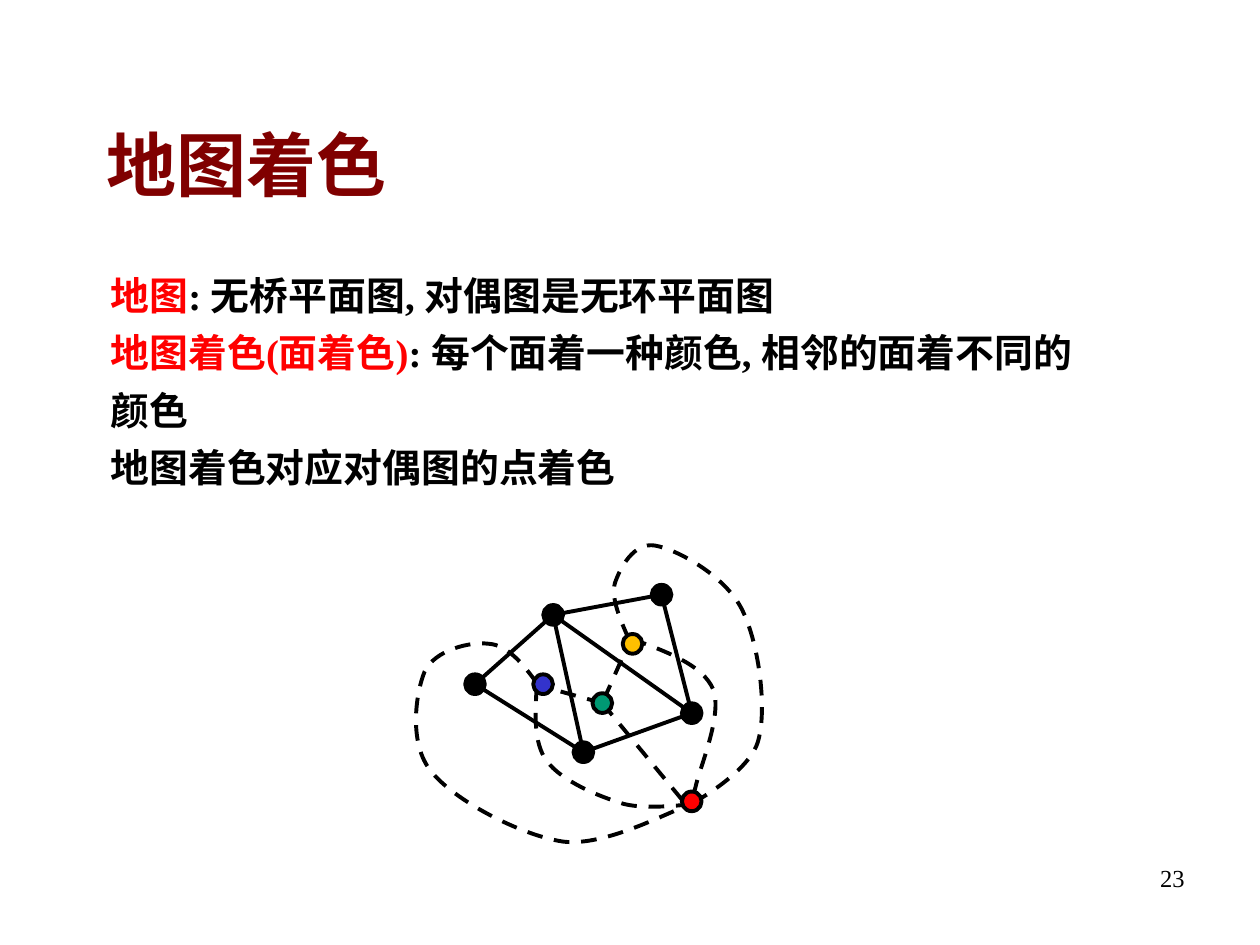
from dataclasses import dataclass

from lxml import etree
from pptx import Presentation
from pptx import util as u
from pptx.dml.color import RGBColor
from pptx.enum import dml, shapes, text
from pptx.oxml.ns import qn

COLORS = {
    "black": "000000", "maroon": "800000", "red": "FF0000",
    "yellow": "FFC000", "green": "009973", "blue": "3333CC",
}
FONT = "Times New Roman"
DIAMETER = 5 / 32
Point = tuple[float, float]


@dataclass(frozen=True)
class Vertex:
    x: float
    y: float
    color: str = "black"


@dataclass(frozen=True)
class TextArea:
    left: float
    top: float
    width: float
    height: float
    size: float
    bold: bool = True
    align: text.PP_ALIGN = text.PP_ALIGN.LEFT
    anchor: text.MSO_ANCHOR = text.MSO_ANCHOR.TOP
    space_before: float = 0
    hanging: float = 0


TITLE = TextArea(0.75, 0.67, 8.5, 1.25, 40, anchor=text.MSO_ANCHOR.MIDDLE)
BODY = TextArea(0.78, 2.11, 8.5, 2.03, 22.2, space_before=6, hanging=0.38)
NUMBER = TextArea(7.42, 6.8, 2.08, 0.5, 14, bold=False, align=text.PP_ALIGN.RIGHT)

DEFINITIONS = [
    [("地图", "red"), (": 无桥平面图, 对偶图是无环平面图", "black")],
    [("地图着色(面着色)", "red"), (": 每个面着一种颜色, 相邻的面着不同的", "black")],
    [("颜色", "black")],
    [("地图着色对应对偶图的点着色", "black")],
]

MAP_VERTICES = {
    "top": Vertex(4.39, 4.88),
    "upper_right": Vertex(5.25, 4.72),
    "left": Vertex(3.77, 5.43),
    "bottom": Vertex(4.63, 5.97),
    "right": Vertex(5.49, 5.66),
}
MAP_EDGES = [
    ("top", "left"), ("top", "bottom"), ("left", "bottom"), ("top", "upper_right"),
    ("upper_right", "right"), ("bottom", "right"), ("top", "right"),
]
DUAL_VERTICES = [
    Vertex(5.02, 5.11, "yellow"), Vertex(4.78, 5.58, "green"),
    Vertex(4.31, 5.43, "blue"), Vertex(5.49, 6.36, "red"),
]
DUAL_EDGES = [
    ((5.02, 5.04), (4.78, 5.58)),
    ((4.24, 5.43), (4.78, 5.58)),
    ((4.78, 5.58), (5.44, 6.38)),
]
DUAL_CURVES = [
    [(5.01, 5.07), (5.29, 5.17), (5.58, 5.28), (5.66, 5.47), (5.74, 5.67),
     (5.55, 6.1), (5.52, 6.25), (5.48, 6.4), (5.44, 6.38), (5.44, 6.38)],
    [(4.26, 5.44), (4.25, 5.66), (4.23, 5.89), (4.34, 6.04), (4.46, 6.2),
     (4.75, 6.32), (4.95, 6.38), (5.14, 6.43), (5.5, 6.38), (5.5, 6.38)],
    [(4.99, 5.07), (4.92, 4.91), (4.85, 4.75), (4.88, 4.63), (4.92, 4.51),
     (5.03, 4.3), (5.2, 4.33), (5.37, 4.36), (5.74, 4.56), (5.88, 4.82),
     (6.02, 5.08), (6.09, 5.61), (6.02, 5.87), (5.96, 6.13), (5.47, 6.39),
     (5.47, 6.39), (5.49, 6.39)],
    [(4.26, 5.42), (4.15, 5.27), (4.03, 5.12), (3.88, 5.11), (3.73, 5.09),
     (3.45, 5.16), (3.37, 5.33), (3.3, 5.5), (3.24, 5.9), (3.42, 6.12),
     (3.6, 6.35), (4.13, 6.63), (4.47, 6.68), (4.81, 6.72), (5.31, 6.44),
     (5.47, 6.39), (5.63, 6.35), (5.53, 6.38), (5.44, 6.41)],
]


def rgb(name: str) -> RGBColor:
    """Look up a named colour."""
    return RGBColor.from_string(COLORS[name])


def add_text(s, area: TextArea, paragraphs: list[list[tuple[str, str]]]) -> None:
    """Add a text box whose paragraphs are lists of (wording, colour) runs."""
    box = s.shapes.add_textbox(*map(u.Inches, (area.left, area.top, area.width, area.height)))
    tf = box.text_frame
    tf.word_wrap = True
    tf.vertical_anchor = area.anchor
    for i, runs in enumerate(paragraphs):
        p = tf.add_paragraph() if i else tf.paragraphs[0]
        p.alignment = area.align
        p.space_before = u.Pt(area.space_before)
        p.font.name = FONT
        p.font.size = u.Pt(area.size)
        p.font.bold = area.bold
        if area.hanging:
            p_pr = p._p.get_or_add_pPr()
            p_pr.set("marL", str(u.Inches(area.hanging)))
            p_pr.set("indent", str(u.Inches(-area.hanging)))
        for wording, color in runs:
            r = p.add_run()
            r.text = wording
            r.font.color.rgb = rgb(color)


def style_line(sp, dashed: bool = False) -> None:
    """Give a shape or connector the diagram's black stroke."""
    sp.line.color.rgb = rgb("black")
    sp.line.width = u.Pt(2.25)
    if dashed:
        sp.line.dash_style = dml.MSO_LINE.DASH


def add_edge(s, start: Point, end: Point, dashed: bool = False) -> None:
    """Draw a straight edge."""
    sp = s.shapes.add_connector(shapes.MSO_CONNECTOR.STRAIGHT, *map(u.Inches, (*start, *end)))
    style_line(sp, dashed)
    etree.SubElement(sp._element.spPr, qn("a:effectLst"))


def bend_segments(sp) -> None:
    """Join each three line segments of a freeform into one cubic Bézier curve."""
    lines = list(sp._element.iter(qn("a:lnTo")))
    for i in range(0, len(lines) - 2, 3):
        first, *others = lines[i:i + 3]
        curve = etree.Element(qn("a:cubicBezTo"))
        first.addprevious(curve)
        for line in (first, *others):
            curve.append(line[0])
            line.getparent().remove(line)


def add_curve(s, controls: list[Point]) -> None:
    """Draw a dashed edge along a chain of cubic Bézier curves."""
    start, *points = [(u.Inches(x), u.Inches(y)) for x, y in controls]
    builder = s.shapes.build_freeform(*start)
    builder.add_line_segments(points, close=False)
    sp = builder.convert_to_shape()
    bend_segments(sp)
    sp.shadow.inherit = False
    sp.fill.background()
    style_line(sp, dashed=True)


def add_vertex(s, vertex: Vertex) -> None:
    """Draw a filled dot centred on its vertex."""
    box = (vertex.x - DIAMETER / 2, vertex.y - DIAMETER / 2, DIAMETER, DIAMETER)
    sp = s.shapes.add_shape(shapes.MSO_SHAPE.OVAL, *map(u.Inches, box))
    sp.shadow.inherit = False
    sp.fill.solid()
    sp.fill.fore_color.rgb = rgb(vertex.color)
    style_line(sp)


def main() -> None:
    """Build the map colouring slide."""
    prs = Presentation()
    prs.slide_width, prs.slide_height = u.Inches(10), u.Inches(7.5)
    s = prs.slides.add_slide(prs.slide_layouts[6])
    add_text(s, NUMBER, [[("23", "black")]])
    add_text(s, TITLE, [[("地图着色", "maroon")]])
    add_text(s, BODY, DEFINITIONS)
    for names in MAP_EDGES:
        a, b = (MAP_VERTICES[name] for name in names)
        add_edge(s, (a.x, a.y), (b.x, b.y))
    for vertex in MAP_VERTICES.values():
        add_vertex(s, vertex)
    for start, end in DUAL_EDGES:
        add_edge(s, start, end, dashed=True)
    for controls in DUAL_CURVES:
        add_curve(s, controls)
    for vertex in DUAL_VERTICES:
        add_vertex(s, vertex)
    prs.save("out.pptx")


if __name__ == "__main__":
    main()
